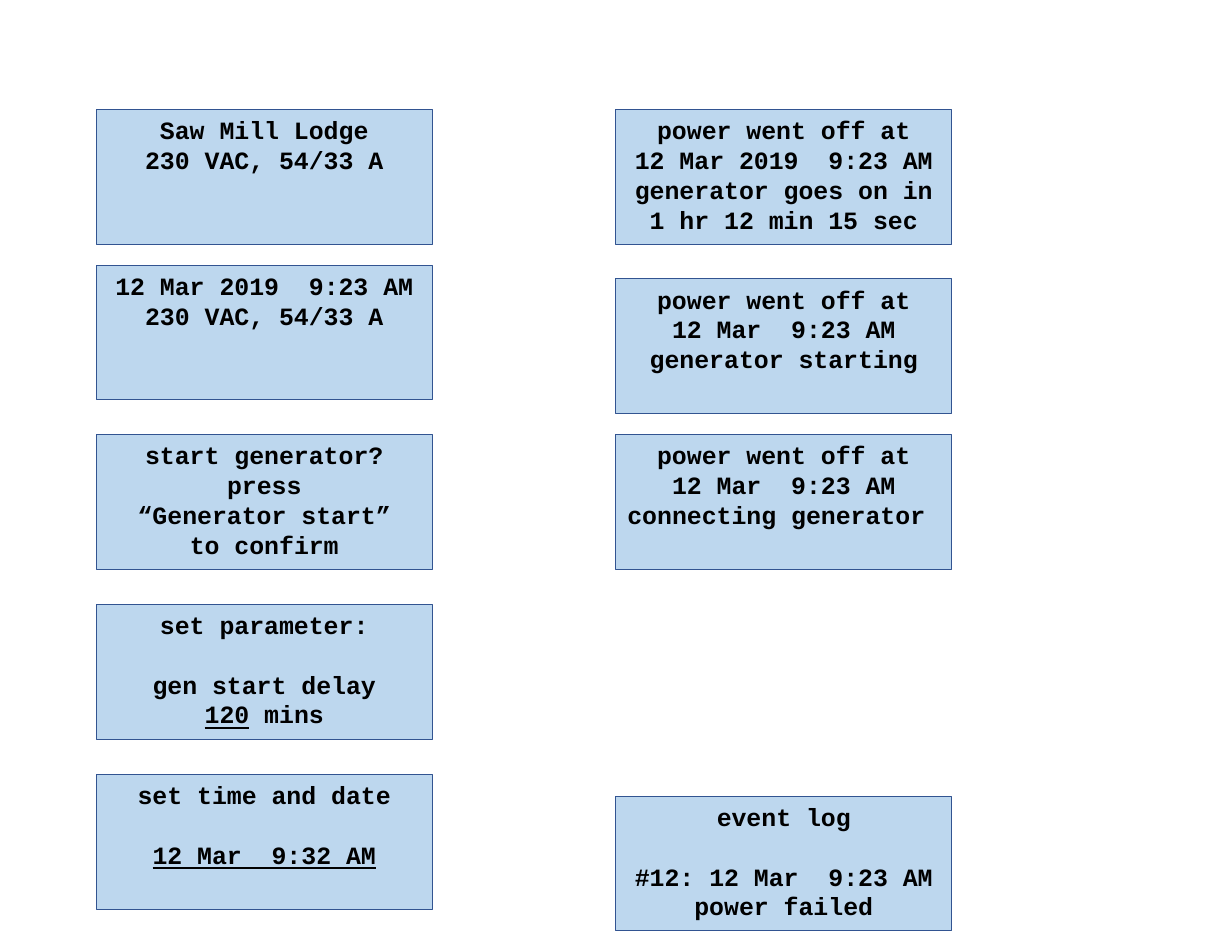
"""Build a slide of generator controller display screens."""
from pptx import Presentation
from pptx.dml.color import RGBColor
from pptx.enum.shapes import MSO_SHAPE as Shape
from pptx.enum.text import MSO_ANCHOR as Anchor, PP_ALIGN as Align
from pptx.util import Pt

COLUMNS = {
    61.92: [
        (70.5, ["Saw Mill Lodge", "230 VAC, 54/33 A"]),
        (170.6, ["12 Mar 2019  9:23 AM", "230 VAC, 54/33 A"]),
        (279.4, ["start generator?", "press", "“Generator start”", "to confirm"]),
        (388.7, ["set parameter:", "", "gen start delay", "_120_ mins"]),
        (498, ["set time and date", "", "_12 Mar  9:32 AM_"]),
    ],
    395.9: [
        (70.5, ["power went off at", "12 Mar 2019  9:23 AM",
                "generator goes on in", "1 hr 12 min 15 sec"]),
        (179.3, ["power went off at", "12 Mar  9:23 AM generator starting"]),
        (279.4, ["power went off at", "12 Mar  9:23 AM", "connecting generator "]),
        (512, ["event log", "", "#12: 12 Mar  9:23 AM\vpower failed"]),
    ],
}
SCREEN_WIDTH, SCREEN_HEIGHT = 216, 86.5
FONT_SIZE, LINE_HEIGHT = 16, 19.1


def color(value):
    return RGBColor.from_string(value)


def add_line(para, line, gap):
    """Write one centred line, underlining the parts between underscores."""
    para.alignment = Align.CENTER
    para.line_spacing = Pt(LINE_HEIGHT)
    para.space_before = Pt(gap)
    para.font.name, para.font.size, para.font.bold = "Courier New", Pt(FONT_SIZE), True
    para.font.color.rgb = color("000000")
    if "_" not in line:
        para.text = line
        return
    for index, part in enumerate(line.split("_")):
        if part:
            span = para.add_run()
            span.text = part
            span.font.underline = index % 2 == 1


def add_screen(page, left, top, lines):
    """Draw one display screen with its lines of text."""
    box = page.shapes.add_shape(Shape.RECTANGLE, Pt(left), Pt(top),
                                Pt(SCREEN_WIDTH), Pt(SCREEN_HEIGHT))
    box.shadow.inherit = False
    box.fill.solid()
    box.fill.fore_color.rgb = color("BDD7EE")
    box.line.color.rgb = color("325491")
    box.line.width = Pt(0.75)
    frame = box.text_frame
    frame.word_wrap = True
    frame.vertical_anchor = Anchor.TOP
    para, gap = frame.paragraphs[0], 0
    for line in lines:
        if not line:
            gap = LINE_HEIGHT
            continue
        if para is None:
            para = frame.add_paragraph()
        add_line(para, line, gap)
        para, gap = None, 0


deck = Presentation()
deck.slide_width, deck.slide_height = Pt(792), Pt(612)
page = deck.slides.add_slide(deck.slide_layouts[6])
for left, screens in COLUMNS.items():
    for top, lines in screens:
        add_screen(page, left, top, lines)
deck.save("out.pptx")
